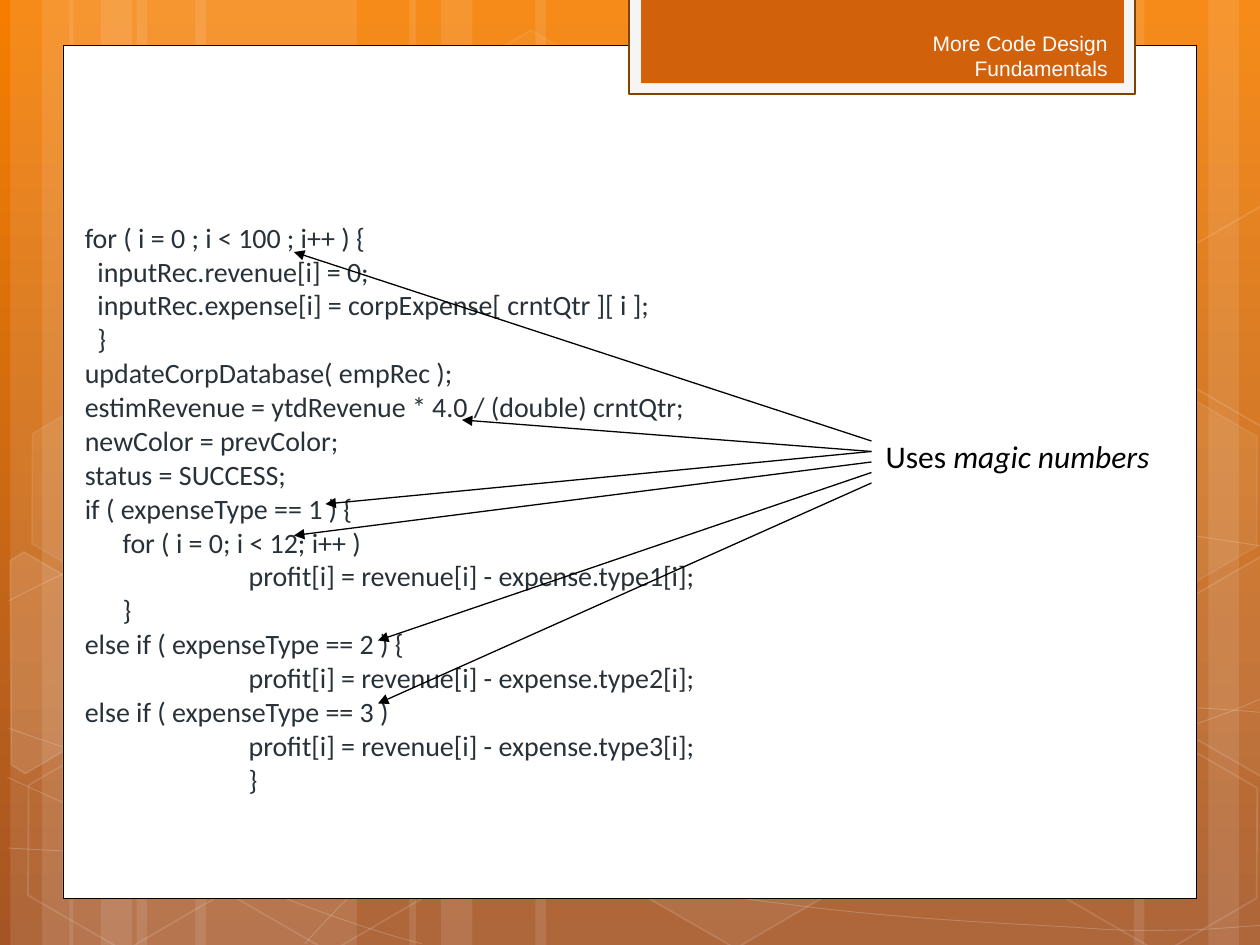
from dataclasses import dataclass
from typing import Optional

from lxml import etree
from pptx import Presentation
from pptx.dml.color import RGBColor
from pptx.enum.shapes import MSO_CONNECTOR, MSO_SHAPE
from pptx.enum.text import MSO_ANCHOR, MSO_AUTO_SIZE, PP_ALIGN
from pptx.oxml.ns import qn
from pptx.util import Pt

RECTANGLE, HEXAGON = MSO_SHAPE.RECTANGLE, MSO_SHAPE.HEXAGON
STRAIGHT = MSO_CONNECTOR.STRAIGHT
MIDDLE, RIGHT = MSO_ANCHOR.MIDDLE, PP_ALIGN.RIGHT
GROW = MSO_AUTO_SIZE.SHAPE_TO_FIT_TEXT

WHITE = RGBColor(0xFF, 0xFF, 0xFF)
BLACK = RGBColor(0, 0, 0)
ORANGE = RGBColor(0xF5, 0x7E, 0x00)
RUST = RGBColor(0xA5, 0x55, 0x25)
TAB_FRAME = RGBColor(0xF5, 0xF5, 0xF5)
TAB_EDGE = RGBColor(0x7F, 0x43, 0x00)
TAB_FILL = RGBColor(0xD2, 0x61, 0x0C)
TAB_TEXT = RGBColor(0xFE, 0xFE, 0xFE)
CODE_TEXT = RGBColor(0x28, 0x31, 0x38)
FLUSH, INNER, NESTED, DEEP = 5.4, 12.6, 27, 99

Point = tuple[float, float]


@dataclass(frozen=True)
class Paint:
    color: RGBColor
    opacity: int = 100
    width: float = 0


@dataclass(frozen=True)
class Hexagon:
    left: float
    top: float
    fill_opacity: int
    line_opacity: int


@dataclass(frozen=True)
class CutHexagon:
    points: list[Point]
    fill_opacity: int


@dataclass(frozen=True)
class CodeLine:
    text: str
    indent: float = FLUSH


STRIPES = [(78, 126), (6, 36), (24, 60), (111.6, 126), (39.6, 36), (57.6, 60),
           (528, 126), (690.5, 36), (648, 60), (306, 222), (234, 36), (252, 60)]

CURVES = [
    [(4.8, 484.6), (43.9, 486.7), (82.8, 488.9), (136.8, 488.2), (190.8, 487.4), (257.8, 486),
     (329.8, 478.8), (401.8, 471.6), (504, 457.9), (570.2, 444.2), (635.8, 430.6),
     (703.4, 409), (725, 396.7)],
    [(5, 343.4), (25.9, 332.6), (46.8, 321.1), (87.1, 310.3), (128.2, 299.5), (186.5, 283.7),
     (249.8, 278.6), (313.9, 273.6), (391.7, 272.9), (470.9, 278.6), (550.1, 284.4),
     (681.8, 306.7), (725, 312.5)],
    [(4.3, 444.2), (91.4, 483.8), (177.8, 523.4), (241.2, 539.3)],
    [(5, 416.2), (27.4, 424.1), (50.4, 432), (92.2, 443.5), (133.9, 454.3), (196.6, 472.3),
     (257, 484.6), (316.8, 496.8), (392.4, 509.8), (452.2, 517), (511.9, 524.9), (576, 527.8),
     (614.2, 529.9), (652.3, 532.8), (661.7, 531.4), (680.4, 531.4), (699.1, 530.6),
     (712.1, 529.2), (725, 528.5)],
    [(174.2, 539.3), (187.2, 524.9), (200.2, 510.5), (217.4, 497.5), (234.7, 483.8),
     (259.2, 470.2), (279.4, 460.1), (299.5, 450), (311.8, 445.7), (337.7, 438.5),
     (364.3, 431.3), (412.6, 421.2), (437.8, 416.2), (463.7, 411.1), (467.3, 411.1),
     (489.6, 409.7), (511.9, 407.5), (547.2, 405.4), (571.7, 404.6), (596.9, 403.9),
     (637.9, 404.6), (637.9, 404.6), (654, 404.6), (670, 404.6), (686.2, 404.6),
     (699.1, 405.4), (711.4, 406.1), (724.3, 407.5)],
]

HEXAGONS = [
    Hexagon(240.5, 25.9, 4, 8), Hexagon(357.1, 424.1, 6, 12), Hexagon(7.9, 425.5, 0, 12),
    Hexagon(10.1, 224.6, 7, 8), Hexagon(125.3, 426.2, 0, 12), Hexagon(542.2, 326.2, 10, 12),
    Hexagon(600.5, 427, 0, 12), Hexagon(600.5, 226.1, 7, 8),
]

CUT_HEXAGONS = [
    CutHexagon([(5.8, 320.4), (13.7, 315.4), (69.1, 347.8), (68.4, 410.4), (14.4, 442.1),
                (6.5, 437)], 10),
    CutHexagon([(666.7, 349.2), (721.4, 317.5), (726.5, 321.1), (726.5, 441.4),
                (721.4, 444.2), (666.7, 412.6)], 4),
    CutHexagon([(666.7, 149), (721.4, 117.4), (727.2, 121), (726.5, 241.2), (721.4, 244.1),
                (666.7, 212.4)], 0),
]

CODE = [
    CodeLine("for ( i = 0 ; i < 100 ; i++ ) {"),
    CodeLine("inputRec.revenue[i] = 0;", INNER),
    CodeLine("inputRec.expense[i] = corpExpense[ crntQtr ][ i ];", INNER),
    CodeLine("}", INNER),
    CodeLine("updateCorpDatabase( empRec );"),
    CodeLine("estimRevenue = ytdRevenue * 4.0 / (double) crntQtr;"),
    CodeLine("newColor = prevColor;"),
    CodeLine("status = SUCCESS;"),
    CodeLine("if ( expenseType == 1 ) {"),
    CodeLine("for ( i = 0; i < 12; i++ )", NESTED),
    CodeLine("profit[i] = revenue[i] - expense.type1[i];", DEEP),
    CodeLine("}", NESTED),
    CodeLine("else if ( expenseType == 2 ) {"),
    CodeLine("profit[i] = revenue[i] - expense.type2[i];", DEEP),
    CodeLine("else if ( expenseType == 3 )"),
    CodeLine("profit[i] = revenue[i] - expense.type3[i];", DEEP),
    CodeLine("}", DEEP),
]

ARROW_LEFT = 498
ARROWS = [(252, (168, 144)), (264, (168, 306)), (270, (216, 366)),
          (258, (264, 240)), (276, (216, 402)), (258, (186, 288))]


def apply_paint(target, paint: Optional[Paint]) -> None:
    if paint is None or paint.opacity == 0:
        target.background()
        return
    target.solid()
    target.fore_color.rgb = paint.color
    if paint.opacity < 100:
        color = target._xPr.find(f"{qn('a:solidFill')}/{qn('a:srgbClr')}")
        etree.SubElement(color, qn("a:alpha"), val=str(paint.opacity * 1000))


def style_shape(shape, fill: Optional[Paint], line: Optional[Paint] = None) -> None:
    shape.shadow.inherit = False
    apply_paint(shape.fill, fill)
    if line:
        shape.line.width = Pt(line.width)
    apply_paint(shape.line.fill, line)


def add_preset(page, kind, left: float, top: float, width: float, height: float,
               fill: Optional[Paint], line: Optional[Paint] = None):
    shape = page.shapes.add_shape(kind, Pt(left), Pt(top), Pt(width), Pt(height))
    style_shape(shape, fill, line)
    return shape


def add_outline(page, points: list[Point], closed: bool, fill: Optional[Paint], line: Paint):
    corners = [(Pt(x), Pt(y)) for x, y in points]
    builder = page.shapes.build_freeform(*corners[0])
    builder.add_line_segments(corners[1:], close=closed)
    shape = builder.convert_to_shape()
    style_shape(shape, fill, line)
    return shape


def add_curve(page, knots: list[Point], line: Paint) -> None:
    shape = add_outline(page, knots, False, None, line)
    segments = list(shape._element.iter(qn("a:lnTo")))
    for first in range(0, len(segments), 3):
        bend = etree.SubElement(segments[first].getparent(), qn("a:cubicBezTo"))
        for segment in segments[first:first + 3]:
            bend.append(segment[0])
            segment.getparent().remove(segment)


def add_text(page, left: float, top: float, width: float, height: float, text: str):
    box = page.shapes.add_textbox(Pt(left), Pt(top), Pt(width), Pt(height))
    box.text_frame.word_wrap = True
    box.text_frame.text = text
    return box.text_frame


def style_span(span, size: float, name: str, color: RGBColor) -> None:
    span.font.size, span.font.name = Pt(size), name
    span.font.color.rgb = color


def add_arrow(page, start: Point, end: Point) -> None:
    arrow = page.shapes.add_connector(STRAIGHT, *(Pt(value) for value in start + end))
    arrow.line.color.rgb = BLACK
    arrow.line.width = Pt(0.75)
    etree.SubElement(arrow.line._get_or_add_ln(), qn("a:tailEnd"), type="triangle")
    etree.SubElement(arrow._element.spPr, qn("a:effectLst"))


def draw_background(page) -> None:
    fill = page.background.fill
    fill.gradient()
    fill.gradient_angle = 270
    for stop, color in zip(fill.gradient_stops, (ORANGE, RUST)):
        stop.color.rgb = color
    for left, width in STRIPES:
        add_preset(page, RECTANGLE, left, 0, width, 540, Paint(WHITE, 10))
    for knots in CURVES:
        add_curve(page, knots, Paint(WHITE, 20, 0.5))
    for item in HEXAGONS:
        shape = add_preset(page, HEXAGON, item.left, item.top, 126, 109.4,
                           Paint(WHITE, item.fill_opacity), Paint(WHITE, item.line_opacity, 1))
        shape.adjustments[0] = 0.285
        shape.rotation = 30
    for item in CUT_HEXAGONS:
        add_outline(page, item.points, True, Paint(WHITE, item.fill_opacity), Paint(WHITE, 12, 1))


def draw_content(page) -> None:
    add_preset(page, RECTANGLE, 36, 26, 648, 487.4, Paint(WHITE), Paint(BLACK, width=0.5))
    add_preset(page, RECTANGLE, 359.3, -1.4, 289.4, 55.1, Paint(TAB_FRAME),
               Paint(TAB_EDGE, width=1.25))
    add_preset(page, RECTANGLE, 366.4, -1.4, 275.8, 48.9, Paint(TAB_FILL))
    title = add_text(page, 472.3, 17.3, 167.8, 28.8, "More Code Design Fundamentals")
    title.vertical_anchor = MIDDLE
    title.paragraphs[0].alignment = RIGHT
    style_span(title.paragraphs[0].runs[0], 12, "Arial", TAB_TEXT)

    code = add_text(page, 36, 126, 390, 356.4, "\n".join(line.text for line in CODE))
    for para, line in zip(code.paragraphs, CODE):
        para.line_spacing, para.space_before = 0.8, Pt(4)
        para._p.get_or_add_pPr().set("marL", str(Pt(line.indent)))
        style_span(para.runs[0], 16, "Calibri", CODE_TEXT)

    label = add_text(page, 499, 246.2, 165.2, 28.8, "Uses ")
    label.word_wrap, label.auto_size = False, GROW
    para = label.paragraphs[0]
    para.add_run().text = "magic numbers"
    para.runs[1].font.italic = True
    for span in para.runs:
        style_span(span, 18, "Calibri", BLACK)
    for start_y, end in ARROWS:
        add_arrow(page, (ARROW_LEFT, start_y), end)


def main() -> None:
    """Build the slide about magic numbers in code."""
    deck = Presentation()
    deck.slide_width, deck.slide_height = Pt(720), Pt(540)
    page = deck.slides.add_slide(deck.slide_layouts[6])
    draw_background(page)
    draw_content(page)
    deck.save("out.pptx")


if __name__ == "__main__":
    main()
